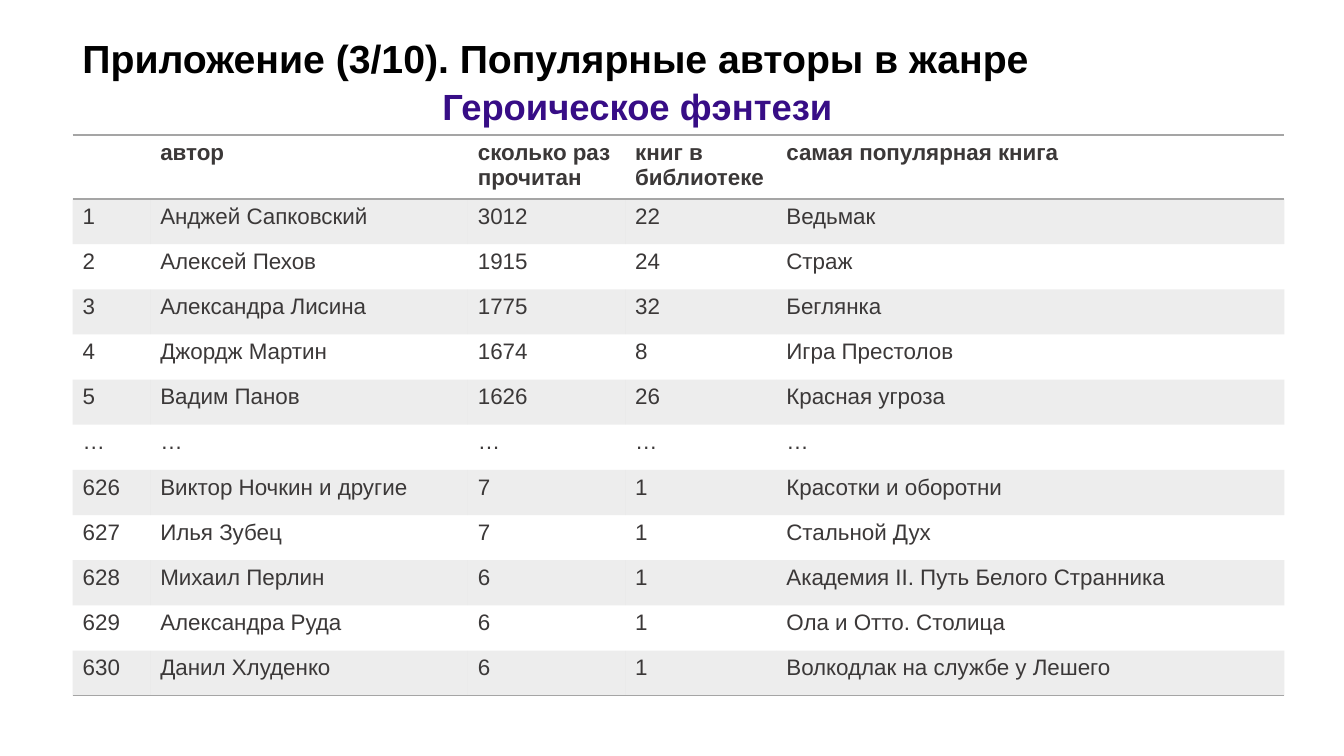
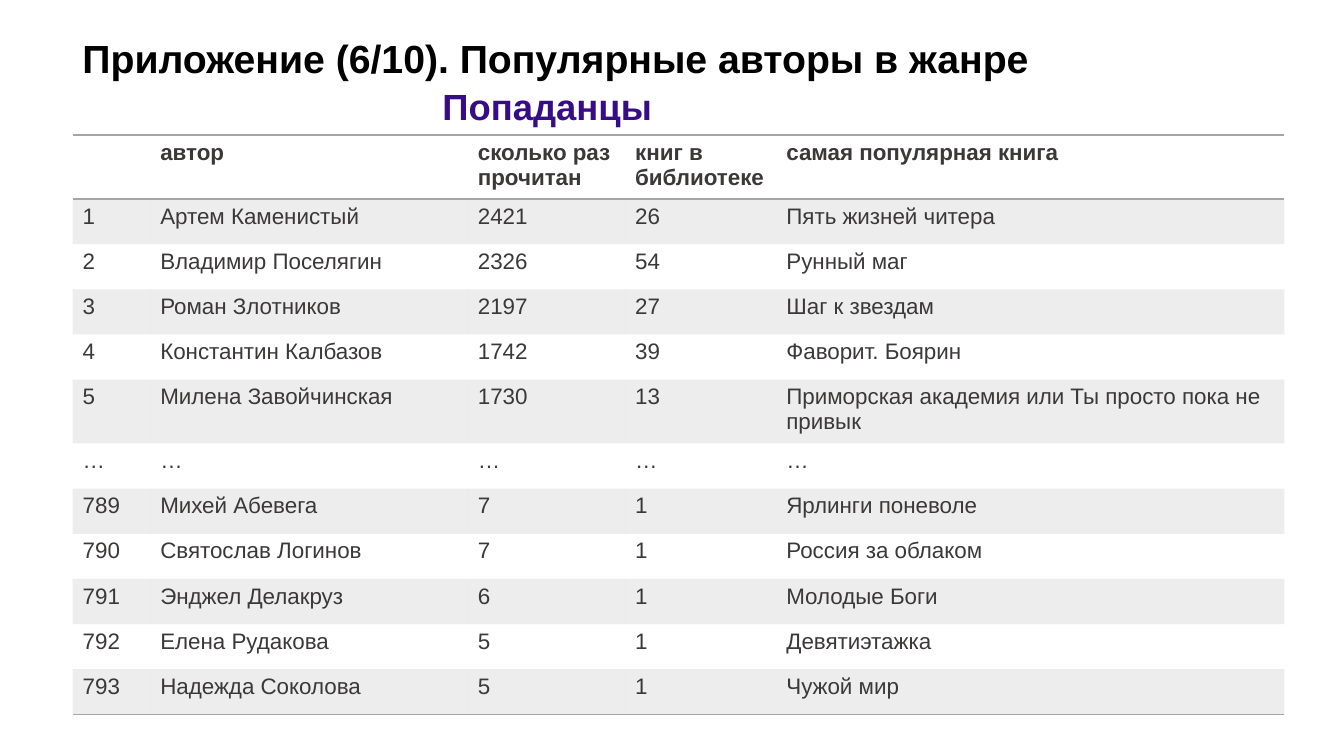
from dataclasses import dataclass

from lxml import etree
from pptx import Presentation
from pptx.dml.color import RGBColor
from pptx.enum.text import MSO_AUTO_SIZE
from pptx.oxml.ns import qn
from pptx.util import Inches, Pt

FIT_SHAPE = MSO_AUTO_SIZE.SHAPE_TO_FIT_TEXT
NO_STYLE = "{2D5ABB26-0587-4C30-8999-92F81FD0307C}"


@dataclass(frozen=True)
class Theme:
    """Colours, type sizes and font shared by the slides."""
    font: str = "Arial"
    title: str = "000000"
    genre: str = "370D86"
    body: str = "3B3838"
    grey: str = "A5A5A5"
    band_alpha: int = 20
    title_size: int = 28
    genre_size: int = 26
    body_size: int = 16
    rule_width: int = 1


THEME = Theme()

LEFT = 0.72
TITLE_TOP, TITLE_W, TITLE_H = 0.29, 9.97, 1.04
GENRE_INDENT = 3.57
TABLE_TOP, TABLE_H = 1.34, 5.38
COL_WIDTHS = (0.77, 3.15, 1.56, 1.5, 5.04)

HEADER = ("", "автор", "сколько раз прочитан", "книг в библиотеке", "самая популярная книга")
GAP = ("…",) * len(HEADER)

HEROIC = (
    ("1", "Анджей Сапковский", "3012", "22", "Ведьмак"),
    ("2", "Алексей Пехов", "1915", "24", "Страж"),
    ("3", "Александра Лисина", "1775", "32", "Беглянка"),
    ("4", "Джордж Мартин", "1674", "8", "Игра Престолов"),
    ("5", "Вадим Панов", "1626", "26", "Красная угроза"),
    GAP,
    ("626", "Виктор Ночкин и другие", "7", "1", "Красотки и оборотни"),
    ("627", "Илья Зубец", "7", "1", "Стальной Дух"),
    ("628", "Михаил Перлин", "6", "1", "Академия II. Путь Белого Странника"),
    ("629", "Александра Руда", "6", "1", "Ола и Отто. Столица"),
    ("630", "Данил Хлуденко", "6", "1", "Волкодлак на службе у Лешего"),
)

TIME_TRAVEL = (
    ("1", "Артем Каменистый", "2421", "26", "Пять жизней читера"),
    ("2", "Владимир Поселягин", "2326", "54", "Рунный маг"),
    ("3", "Роман Злотников", "2197", "27", "Шаг к звездам"),
    ("4", "Константин Калбазов", "1742", "39", "Фаворит. Боярин"),
    ("5", "Милена Завойчинская", "1730", "13", "Приморская академия или Ты просто пока не привык"),
    GAP,
    ("789", "Михей Абевега", "7", "1", "Ярлинги поневоле"),
    ("790", "Святослав Логинов", "7", "1", "Россия за облаком"),
    ("791", "Энджел Делакруз", "6", "1", "Молодые Боги"),
    ("792", "Елена Рудакова", "5", "1", "Девятиэтажка"),
    ("793", "Надежда Соколова", "5", "1", "Чужой мир"),
)

SLIDES = (
    (3, "Героическое фэнтези", HEROIC),
    (6, "Попаданцы", TIME_TRAVEL),
)


def add_text(p, text, size=THEME.body_size, color=THEME.body, bold=False, indent=0, before=0):
    """Write one formatted run into a paragraph."""
    if indent:
        p._p.get_or_add_pPr().set("marL", str(Inches(indent)))
    if before:
        p.space_before = Pt(before)
    r = p.add_run()
    r.text = text
    r.font.name = THEME.font
    r.font.size = Pt(size)
    r.font.bold = bold
    r.font.color.rgb = RGBColor.from_string(color)


def add_title(s, number, genre):
    """Add the two-line heading: appendix number and genre."""
    sp = s.shapes.add_textbox(Inches(LEFT), Inches(TITLE_TOP), Inches(TITLE_W), Inches(TITLE_H))
    tf = sp.text_frame
    tf.word_wrap = True
    tf.auto_size = FIT_SHAPE
    add_text(tf.paragraphs[0], f"Приложение ({number}/10). Популярные авторы в жанре",
             size=THEME.title_size, color=THEME.title, bold=True)
    add_text(tf.add_paragraph(), genre, size=THEME.genre_size, color=THEME.genre,
             bold=True, indent=GENRE_INDENT, before=2)


def set_borders(cell, sides):
    """Draw grey rules on the given sides of a cell, in schema order."""
    tcPr = cell._tc.get_or_add_tcPr()
    for i, side in enumerate(sides):
        ln = etree.Element(qn(f"a:ln{side}"), w=str(Pt(THEME.rule_width)))
        fill = etree.SubElement(ln, qn("a:solidFill"))
        etree.SubElement(fill, qn("a:srgbClr"), val=THEME.grey)
        tcPr.insert(i, ln)


def set_band(cell, shaded):
    """Fill a cell with translucent grey or leave it clear."""
    if not shaded:
        cell.fill.background()
        return
    cell.fill.solid()
    cell.fill.fore_color.rgb = RGBColor.from_string(THEME.grey)
    clr = cell._tc.tcPr.find(f".//{qn('a:srgbClr')}")
    etree.SubElement(clr, qn("a:alpha"), val=str(THEME.band_alpha * 1000))


def add_author_table(s, authors):
    """Add the banded author table with ruled header and foot."""
    rows = (HEADER, *authors)
    frame = s.shapes.add_table(len(rows), len(HEADER), Inches(LEFT), Inches(TABLE_TOP),
                               Inches(sum(COL_WIDTHS)), Inches(TABLE_H))
    table = frame.table
    table._tbl.tblPr.find(qn("a:tableStyleId")).text = NO_STYLE
    for col, width in zip(table.columns, COL_WIDTHS):
        col.width = Inches(width)
    for i, values in enumerate(rows):
        sides = "TB" if i == 0 else "B" if i == len(rows) - 1 else ""
        for j, value in enumerate(values):
            cell = table.cell(i, j)
            set_band(cell, i % 2 == 1)
            set_borders(cell, sides)
            if value:
                add_text(cell.text_frame.paragraphs[0], value, bold=i == 0)


def main():
    """Build the presentation."""
    prs = Presentation()
    prs.slide_width, prs.slide_height = Inches(13.33), Inches(7.5)
    for number, genre, authors in SLIDES:
        s = prs.slides.add_slide(prs.slide_layouts[6])
        add_title(s, number, genre)
        add_author_table(s, authors)
    prs.save("out.pptx")


if __name__ == "__main__":
    main()
